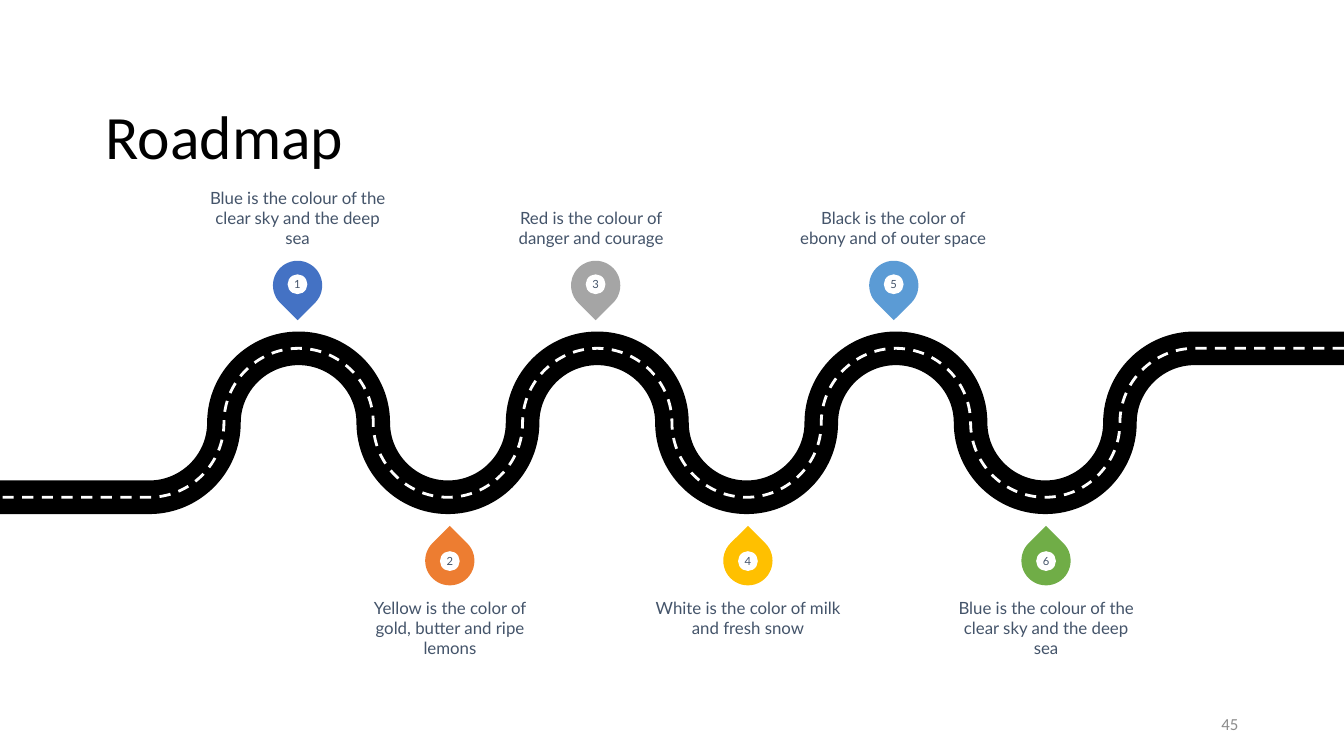
from lxml.etree import SubElement
from pptx import Presentation
from pptx.dml.color import RGBColor
from pptx.enum.dml import MSO_LINE
from pptx.enum.shapes import MSO_SHAPE
from pptx.enum.text import MSO_ANCHOR, PP_ALIGN
from pptx.oxml.ns import qn
from pptx.util import Pt

COLORS = {
    "black": "000000", "white": "FFFFFF", "text": "44546A", "number": "8C8C8C",
    "blue": "4472C4", "orange": "ED7D31", "gray": "A5A5A5",
    "yellow": "FFC000", "sky": "5B9BD5", "green": "70AD47",
}
TITLE = "Roadmap"
PAGE_NUMBER = "45"
MILESTONES = [
    ("Blue is the colour of the clear sky and the deep sea", "blue", 0),
    ("Yellow is the color of gold, butter and ripe lemons", "orange", 0),
    ("Red is the colour of danger and courage", "gray", -2.5),
    ("White is the color of milk and fresh snow", "yellow", 0),
    ("Black is the color of ebony and of outer space", "sky", -0.4),
    ("Blue is the colour of the clear sky and the deep sea", "green", 0),
]

WIDTH, HEIGHT = 720, 405
RADIUS, RISE = 40, 39.9
ROAD_MIDDLE = 226.5
BENDS = 8
ARC_RATIO = 0.55
PIN_SIZE, BADGE_SIZE, PIN_PITCH = 26.4, 10.6, 159.7
LABEL_WIDTH, LABEL_HEIGHT = 101.5, 41.8
ABOVE = {"first": 159.4, "label": 91.1, "pin": 139.7, "badge": 147,
         "rotation": 135, "anchor": MSO_ANCHOR.BOTTOM}
BELOW = {"first": 241, "label": 320.1, "pin": 287.2, "badge": 295.3,
         "rotation": 315, "anchor": MSO_ANCHOR.TOP}


def color(name):
    return RGBColor.from_string(COLORS[name])


def write(shape, text, font, size, color_name, align, anchor, inset=0):
    frame = shape.text_frame
    frame.word_wrap = True
    frame.vertical_anchor = anchor
    frame.margin_left = frame.margin_right = Pt(inset)
    frame.margin_top = frame.margin_bottom = Pt(inset)
    paragraph = frame.paragraphs[0]
    paragraph.text = text
    paragraph.alignment = align
    paragraph.font.name = font
    paragraph.font.size = Pt(size)
    paragraph.font.color.rgb = color(color_name)
    return paragraph


def add_text(slide, left, top, width, height, *style):
    box = slide.shapes.add_textbox(Pt(left), Pt(top), Pt(width), Pt(height))
    write(box, *style)


def add_filled(slide, kind, center, top, size, color_name):
    shape = slide.shapes.add_shape(
        kind, Pt(center - size / 2), Pt(top), Pt(size), Pt(size))
    shape.shadow.inherit = False
    shape.fill.solid()
    shape.fill.fore_color.rgb = color(color_name)
    shape.line.fill.background()
    return shape


def road_points():
    points = [(WIDTH, ROAD_MIDDLE - RISE)]
    for bend in range(BENDS, 0, -1):
        center = 2 * RADIUS * bend
        rise = RISE if bend % 2 else -RISE
        crest = ROAD_MIDDLE + rise
        shoulder = ROAD_MIDDLE + ARC_RATIO * rise
        if bend < BENDS:
            points.append((center + RADIUS, shoulder))
            points.append((center + ARC_RATIO * RADIUS, crest))
        points.append((center, crest))
        if bend > 1:
            points.append((center - ARC_RATIO * RADIUS, crest))
            points.append((center - RADIUS, shoulder))
            points.append((center - RADIUS, ROAD_MIDDLE))
    points.append((0, ROAD_MIDDLE + RISE))
    return [(Pt(x), Pt(y)) for x, y in points]


def curve_bends(road):
    outline = next(road.element.iter(qn("a:path")))
    inner_lines = outline.findall(qn("a:lnTo"))[1:-1]
    for index in range(0, len(inner_lines), 3):
        curve = SubElement(outline, qn("a:cubicBezTo"))
        inner_lines[index].addprevious(curve)
        for line in inner_lines[index:index + 3]:
            curve.append(line[0])
            outline.remove(line)


def add_road(slide, color_name, width, dash=None):
    start, *rest = road_points()
    builder = slide.shapes.build_freeform(*start)
    builder.add_line_segments(rest, close=False)
    road = builder.convert_to_shape()
    curve_bends(road)
    road.shadow.inherit = False
    road.fill.background()
    road.line.color.rgb = color(color_name)
    road.line.width = Pt(width)
    road.line.dash_style = dash


def add_milestone(slide, number, text, color_name, label_shift):
    side = ABOVE if number % 2 else BELOW
    center = side["first"] + PIN_PITCH * ((number - 1) // 2)
    pin = add_filled(slide, MSO_SHAPE.TEAR, center, side["pin"], PIN_SIZE, color_name)
    pin.rotation = side["rotation"]
    badge = add_filled(slide, MSO_SHAPE.OVAL, center, side["badge"], BADGE_SIZE, "white")
    write(badge, str(number), "Lato", 6, "text", PP_ALIGN.CENTER, MSO_ANCHOR.MIDDLE)
    add_text(slide, center + label_shift - LABEL_WIDTH / 2, side["label"],
             LABEL_WIDTH, LABEL_HEIGHT,
             text, "Lato", 9, "text", PP_ALIGN.CENTER, side["anchor"])


def main():
    presentation = Presentation()
    presentation.slide_width, presentation.slide_height = Pt(WIDTH), Pt(HEIGHT)
    slide = presentation.slides.add_slide(presentation.slide_layouts[5])

    title = slide.shapes.title
    title.left, title.top = Pt(49.5), Pt(21.6)
    title.width, title.height = Pt(621), Pt(78.3)
    paragraph = write(title, TITLE, "Calibri", 33, "black",
                      PP_ALIGN.LEFT, MSO_ANCHOR.BOTTOM, 7.2)
    paragraph.line_spacing = 0.9

    add_text(slide, 508.5, 376.9, 162, 21.6, PAGE_NUMBER, "Calibri", 9, "number",
             PP_ALIGN.RIGHT, MSO_ANCHOR.TOP, 7.2)
    add_road(slide, "black", 18)
    add_road(slide, "white", 1.5, MSO_LINE.DASH)
    for number, milestone in enumerate(MILESTONES, 1):
        add_milestone(slide, number, *milestone)

    presentation.save("out.pptx")


if __name__ == "__main__":
    main()
